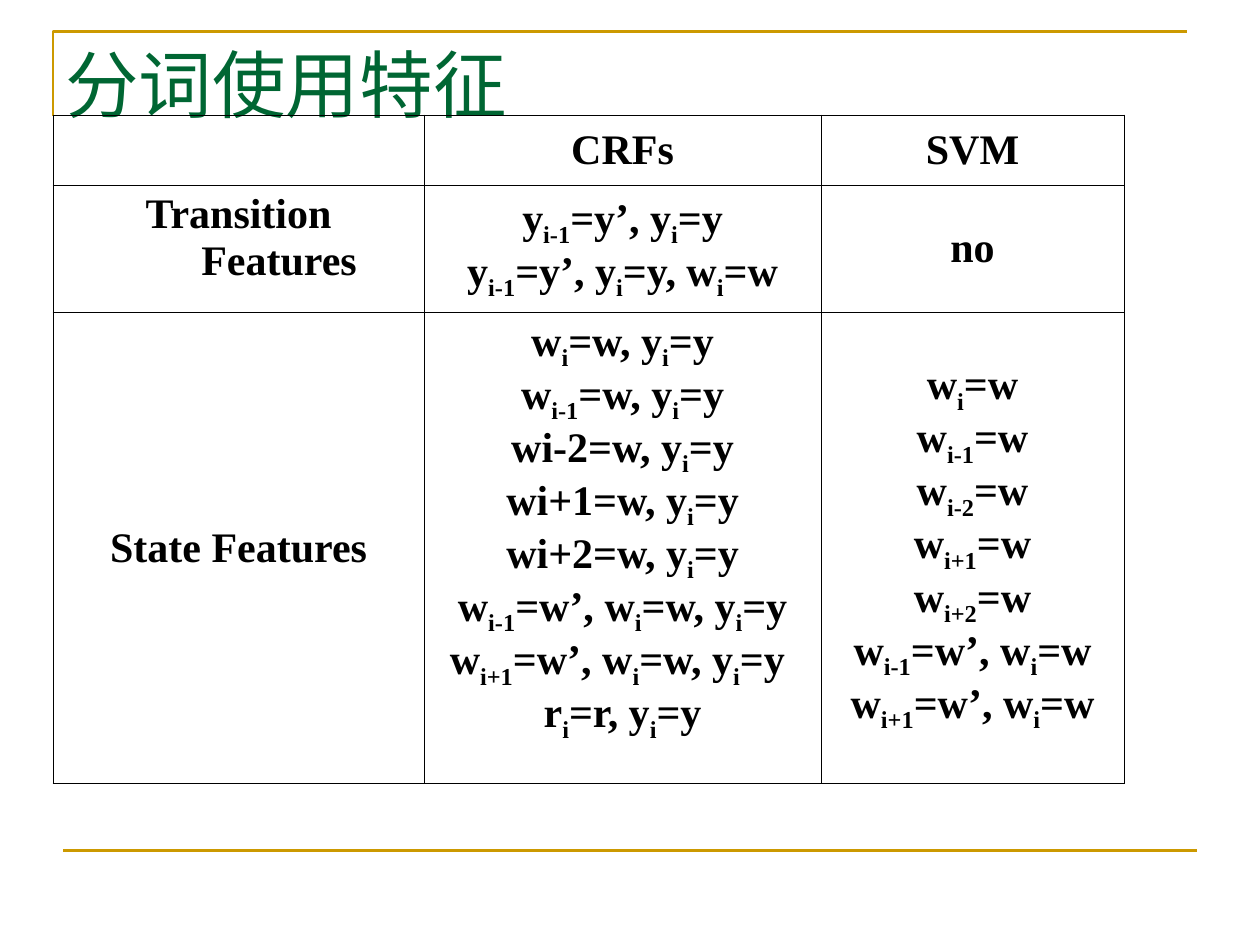
from dataclasses import dataclass

from lxml import etree
from pptx import Presentation
from pptx.dml.color import RGBColor
from pptx.enum.shapes import MSO_CONNECTOR
from pptx.enum.text import MSO_ANCHOR, PP_ALIGN
from pptx.oxml.ns import qn
from pptx.util import Cm, Pt

GOLD = RGBColor(0xCC, 0x99, 0x00)
GREEN = RGBColor(0x00, 0x66, 0x33)
BLACK = RGBColor(0x00, 0x00, 0x00)
FONT = "Times New Roman"
LEFT, CENTER = PP_ALIGN.LEFT, PP_ALIGN.CENTER
TOP, MIDDLE = MSO_ANCHOR.TOP, MSO_ANCHOR.MIDDLE
STRAIGHT = MSO_CONNECTOR.STRAIGHT
EDGE = Cm(1.07)
HANG = Cm(1.63)


@dataclass
class Entry:
    lines: tuple[str, ...] = ()
    anchor: MSO_ANCHOR = MIDDLE


# Text between underscores is set as subscript
GRID = (
    (Entry(), Entry(("CRFs",)), Entry(("SVM",))),
    (
        Entry(("Transition Features",), TOP),
        Entry(("y_i-1_=y’, y_i_=y", "y_i-1_=y’, y_i_=y, w_i_=w")),
        Entry(("no",)),
    ),
    (
        Entry(("State Features",)),
        Entry((
            "w_i_=w, y_i_=y",
            "w_i-1_=w, y_i_=y",
            "wi-2=w, y_i_=y",
            "wi+1=w, y_i_=y",
            "wi+2=w, y_i_=y",
            "w_i-1_=w’, w_i_=w, y_i_=y",
            "w_i+1_=w’, w_i_=w, y_i_=y ",
            "r_i_=r, y_i_=y",
        ), TOP),
        Entry((
            "w_i_=w",
            "w_i-1_=w",
            "w_i-2_=w",
            "w_i+1_=w",
            "w_i+2_=w",
            "w_i-1_=w’, w_i_=w",
            "w_i+1_=w’, w_i_=w",
        )),
    ),
)
COLS = (7.48, 8, 6.11)
ROWS = (1.41, 2.4, 8.81)


def write(frame, lines, *, size=24, color=BLACK, bold=False, align=LEFT, hang=0) -> None:
    for num, line in enumerate(lines):
        para = frame.add_paragraph() if num else frame.paragraphs[0]
        para.alignment = align
        if hang:
            props = para._p.get_or_add_pPr()
            props.set("marL", str(hang))
            props.set("indent", str(-hang))
        for part, text in enumerate(line.split("_")):
            if not text:
                continue
            run = para.add_run()
            run.text = text
            font = run.font
            font.name, font.size, font.bold = FONT, Pt(size), bold
            font.color.rgb = color
            if part % 2:
                font._element.set("baseline", "-25000")


def style(shape) -> None:
    shape.line.color.rgb = GOLD
    shape.line.width = Pt(1.5)


def border(cell) -> None:
    props = cell._tc.get_or_add_tcPr()
    for side in ("lnL", "lnR", "lnT", "lnB"):
        line = etree.SubElement(props, qn(f"a:{side}"), w=str(Pt(0.45)))
        fill = etree.SubElement(line, qn("a:solidFill"))
        etree.SubElement(fill, qn("a:srgbClr"), val=str(BLACK))


def fill_cell(cell, entry: Entry) -> None:
    border(cell)
    cell.fill.background()
    cell.vertical_anchor = entry.anchor
    write(cell.text_frame, entry.lines, bold=True, align=CENTER, hang=HANG)


def frame_page(shapes) -> None:
    # Corner at the top left
    pen = shapes.build_freeform(EDGE, Cm(2.34))
    pen.add_line_segments([(EDGE, Cm(0.64)), (Cm(23.93), Cm(0.64))], close=False)
    corner = pen.convert_to_shape()
    corner.fill.background()
    corner.shadow.inherit = False
    style(corner)

    # Rule at the foot
    rule = shapes.add_connector(STRAIGHT, Cm(1.27), Cm(17.15), Cm(24.13), Cm(17.15))
    etree.SubElement(rule._element.spPr, qn("a:effectLst"))
    style(rule)


def add_title(shapes) -> None:
    frame = shapes.add_textbox(EDGE, Cm(0.64), Cm(21), Cm(2.08)).text_frame
    frame.word_wrap = True
    frame.vertical_anchor = MIDDLE
    write(frame, ("分词使用特征",), size=42, color=GREEN)


def add_grid(shapes) -> None:
    table = shapes.add_table(
        len(ROWS), len(COLS), EDGE, Cm(2.32), Cm(sum(COLS)), Cm(sum(ROWS))
    ).table
    table.first_row = table.horz_banding = False
    for col, width in zip(table.columns, COLS):
        col.width = Cm(width)
    for row, height, entries in zip(table.rows, ROWS, GRID):
        row.height = Cm(height)
        for cell, entry in zip(row.cells, entries):
            fill_cell(cell, entry)


def main() -> None:
    deck = Presentation()
    deck.slide_width, deck.slide_height = Cm(25.4), Cm(19.05)
    shapes = deck.slides.add_slide(deck.slide_layouts[6]).shapes
    frame_page(shapes)
    add_title(shapes)
    add_grid(shapes)
    deck.save("out.pptx")


if __name__ == "__main__":
    main()
